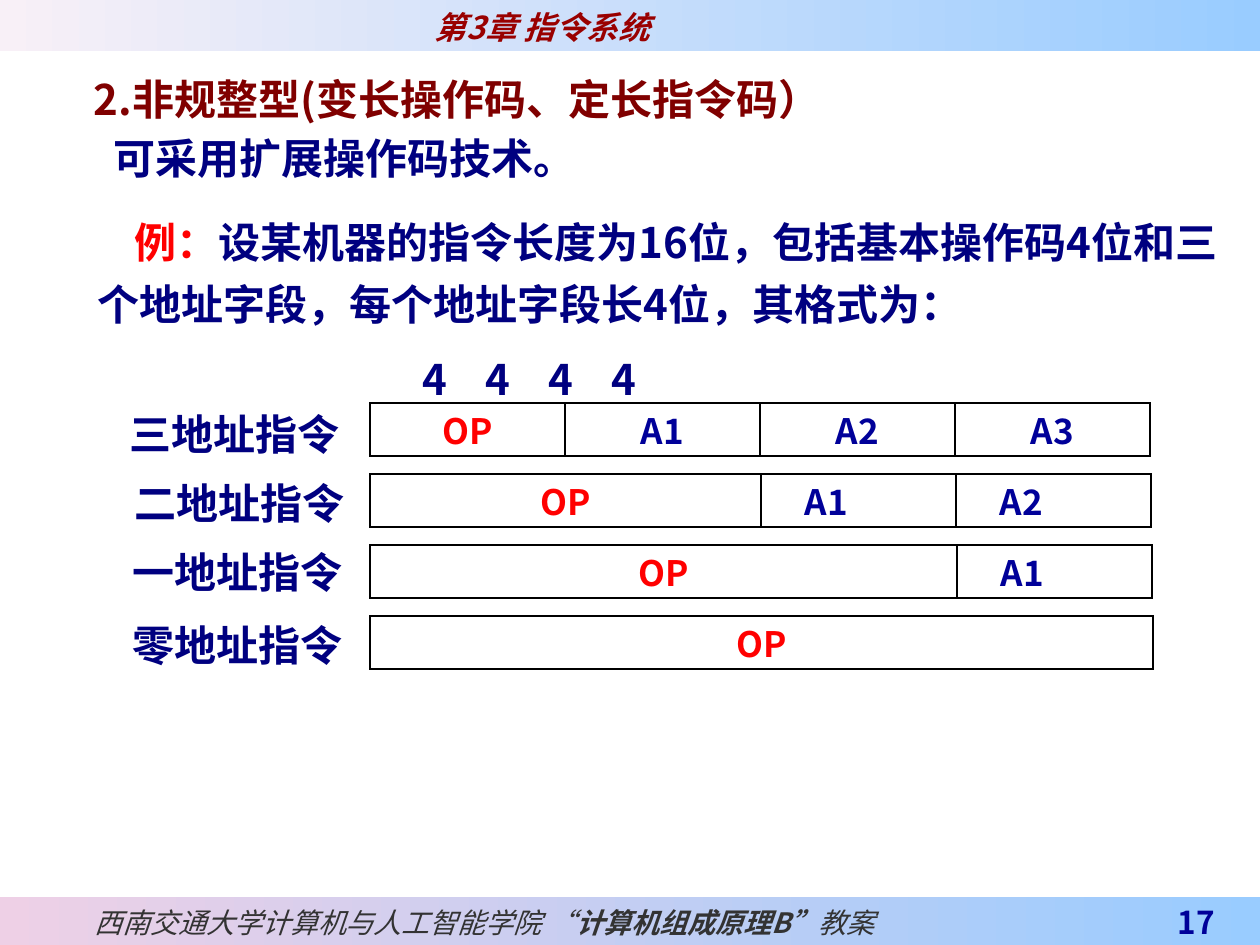
"""Build the slide on expanding opcodes in variable-length instruction formats."""
from dataclasses import dataclass

from lxml.etree import SubElement
from pptx import Presentation
from pptx.dml.color import RGBColor
from pptx.enum.shapes import MSO_SHAPE
from pptx.enum.text import MSO_ANCHOR, PP_ALIGN
from pptx.oxml.ns import qn
from pptx.util import Emu, Pt

FONT = "Noto Sans CJK SC"
COLORS = {
    "maroon": "990000", "heading": "800000", "navy": "000080", "field": "000099",
    "red": "FF0000", "grey": "333333", "black": "000000",
    "sky": "99CCFF", "pink": "EED0E6", "pale": "F8F0F7",
}
TABLE_LEFT, TABLE_WIDTH, ROW_HEIGHT, UNITS = 370, 783, 53, 4
LABEL_LEFT, LABEL_HEIGHT = 80, 52
NO_MARGINS = {"margin_left": 0, "margin_right": 0, "margin_top": 0, "margin_bottom": 0}


@dataclass(frozen=True)
class Run:
    text: str
    color: str
    size: int = 24
    bold: bool = True
    italic: bool = False


@dataclass(frozen=True)
class Para:
    runs: tuple[Run, ...]
    line: int
    align: PP_ALIGN = PP_ALIGN.LEFT
    margin: int = 0
    indent: int = 0
    tabs: tuple[int, ...] = ()


@dataclass(frozen=True)
class Block:
    left: int
    top: int
    width: int
    height: int
    paras: tuple[Para, ...]


@dataclass(frozen=True)
class Band:
    top: int
    height: int
    start: str
    text_left: int
    para: Para


@dataclass(frozen=True)
class Field:
    name: str
    units: int
    inset: int = 0


@dataclass(frozen=True)
class Instruction:
    label: str
    label_right: int
    label_top: int
    top: int
    fields: tuple[Field, ...]


def px(n: int) -> Emu:
    """Turn pixels at 126 to the inch into EMU."""
    return Emu(round(n * 914400 / 126))


def rgb(name: str) -> RGBColor:
    """Look up a named colour."""
    return RGBColor.from_string(COLORS[name])


def set_all(target: object, values: dict) -> None:
    """Set every attribute in a dict of format values."""
    for name, value in values.items():
        setattr(target, name, value)


def write(tf, paras: tuple[Para, ...]) -> None:
    """Fill a text frame with paragraphs."""
    for i, para in enumerate(paras):
        p = tf.add_paragraph() if i else tf.paragraphs[0]
        set_all(p, {"alignment": para.align, "line_spacing": Pt(para.line),
                    "space_before": Pt(0)})
        pPr = p._p.get_or_add_pPr()
        pPr.set("marL", str(px(para.margin)))
        pPr.set("indent", str(px(para.indent)))
        if para.tabs:
            stops = SubElement(pPr, qn("a:tabLst"))
            for stop in para.tabs:
                SubElement(stops, qn("a:tab"), pos=str(px(stop)), algn="l")
        for run in para.runs:
            r = p.add_run()
            r.text = run.text
            set_all(r.font, {"name": FONT, "size": Pt(run.size),
                             "bold": run.bold, "italic": run.italic})
            r.font.color.rgb = rgb(run.color)
            SubElement(r._r.get_or_add_rPr(), qn("a:ea"), typeface=FONT)


def draw_block(s, block: Block) -> None:
    """Draw a text box."""
    box = s.shapes.add_textbox(*map(px, (block.left, block.top, block.width, block.height)))
    set_all(box.text_frame, NO_MARGINS | {"word_wrap": True})
    write(box.text_frame, block.paras)


def draw_band(s, band: Band) -> None:
    """Draw a full-width gradient band with its text."""
    sp = s.shapes.add_shape(MSO_SHAPE.RECTANGLE, *map(px, (0, band.top, 1260, band.height)))
    sp.shadow.inherit = False
    sp.line.fill.background()
    sp.fill.gradient()
    sp.fill.gradient_angle = 0
    for stop, color in zip(sp.fill.gradient_stops, (band.start, "sky")):
        stop.color.rgb = rgb(color)
    set_all(sp.text_frame, NO_MARGINS | {"margin_left": px(band.text_left), "word_wrap": True,
                                         "vertical_anchor": MSO_ANCHOR.TOP})
    write(sp.text_frame, (band.para,))


def add_borders(cell) -> None:
    """Give a cell a thin black line on each side."""
    tcPr = cell._tc.get_or_add_tcPr()
    for i, side in enumerate(("lnL", "lnR", "lnT", "lnB")):
        ln = tcPr.makeelement(qn(f"a:{side}"), {"w": str(Pt(1))})
        fill = SubElement(ln, qn("a:solidFill"))
        SubElement(fill, qn("a:srgbClr"), val=COLORS["black"])
        tcPr.insert(i, ln)


def draw_instruction(s, item: Instruction) -> None:
    """Draw an instruction's label and its table of fields."""
    label = Para((Run(item.label, "navy"),), 30, PP_ALIGN.RIGHT)
    draw_block(s, Block(LABEL_LEFT, item.label_top, item.label_right - LABEL_LEFT,
                        LABEL_HEIGHT, (label,)))
    frame = s.shapes.add_table(1, len(item.fields), *map(
        px, (TABLE_LEFT, item.top, TABLE_WIDTH, ROW_HEIGHT)))
    table = frame.table
    set_all(table, {"first_row": False, "horz_banding": False})
    for i, field in enumerate(item.fields):
        table.columns[i].width = px(TABLE_WIDTH * field.units // UNITS)
        cell = table.cell(0, i)
        set_all(cell, NO_MARGINS | {"margin_left": px(field.inset),
                                    "vertical_anchor": MSO_ANCHOR.MIDDLE})
        cell.fill.background()
        add_borders(cell)
        color = "red" if field.name == "OP" else "field"
        align = PP_ALIGN.LEFT if field.inset else PP_ALIGN.CENTER
        write(cell.text_frame, (Para((Run(field.name, color, 20),), 29, align),))


BANDS = (
    Band(897, 48, "pink", 95, Para((
        Run("西南交通大学计算机与人工智能学院 “", "grey", 16, False, True),
        Run("计算机组成原理B”", "grey", 16, True, True),
        Run("教案", "grey", 16, False, True)), 24)),
    Band(0, 51, "pale", 435, Para((Run("第3章 指令系统", "maroon", 18, True, True),), 26)),
)
BLOCKS = (
    Block(1091, 897, 124, 48, (Para((Run("17", "field", 18),), 25, PP_ALIGN.RIGHT),)),
    Block(94, 64, 880, 119, (
        Para((Run("2.非规整型(变长操作码、定长指令码）", "heading"),), 34),
        Para((Run("可采用扩展操作码技术。", "navy"),), 34, margin=20))),
    Block(98, 206, 1122, 122, (Para((
        Run("例：", "red"),
        Run("设某机器的指令长度为16位，包括基本操作码4位和"
            "三个地址字段，每个地址字段长4位，其格式为：", "navy")), 35, indent=37),)),
    Block(423, 351, 730, 52, (Para((Run("4\t4\t4\t4", "navy"),), 30, tabs=(92, 193, 294)),)),
)
INSTRUCTIONS = (
    Instruction("三地址指令", 339, 406, 403,
                (Field("OP", 1), Field("A1", 1), Field("A2", 1), Field("A3", 1))),
    Instruction("二地址指令", 344, 475, 474,
                (Field("OP", 2), Field("A1", 1, 44), Field("A2", 1, 44))),
    Instruction("一地址指令", 342, 544, 545, (Field("OP", 3), Field("A1", 1, 44))),
    Instruction("零地址指令", 342, 617, 616, (Field("OP", 4),)),
)


def main() -> None:
    """Build and save the slide."""
    prs = Presentation()
    set_all(prs, {"slide_width": px(1260), "slide_height": px(945)})
    s = prs.slides.add_slide(prs.slide_layouts[6])
    for draw, items in ((draw_band, BANDS), (draw_block, BLOCKS),
                        (draw_instruction, INSTRUCTIONS)):
        for item in items:
            draw(s, item)
    prs.save("out.pptx")


if __name__ == "__main__":
    main()
